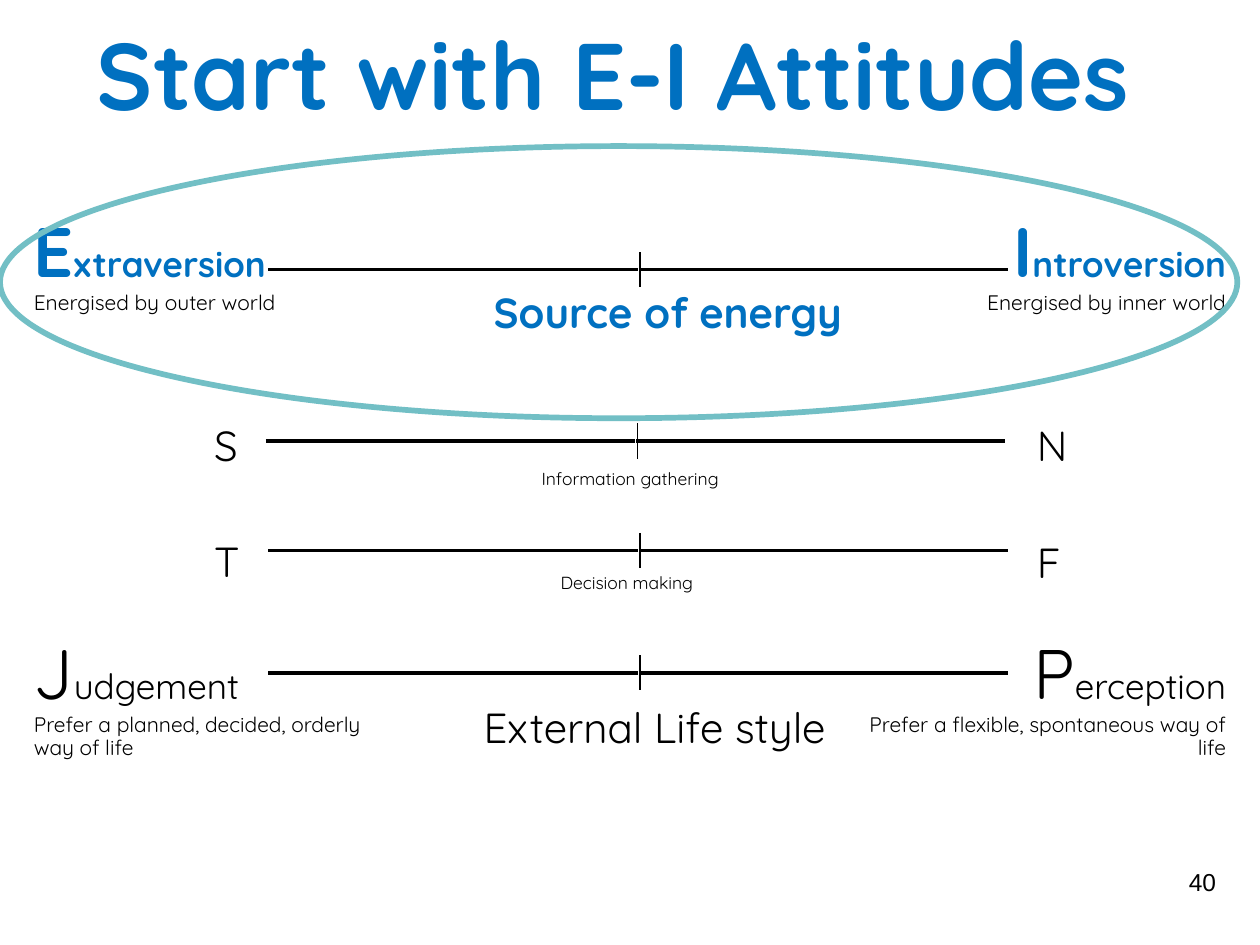
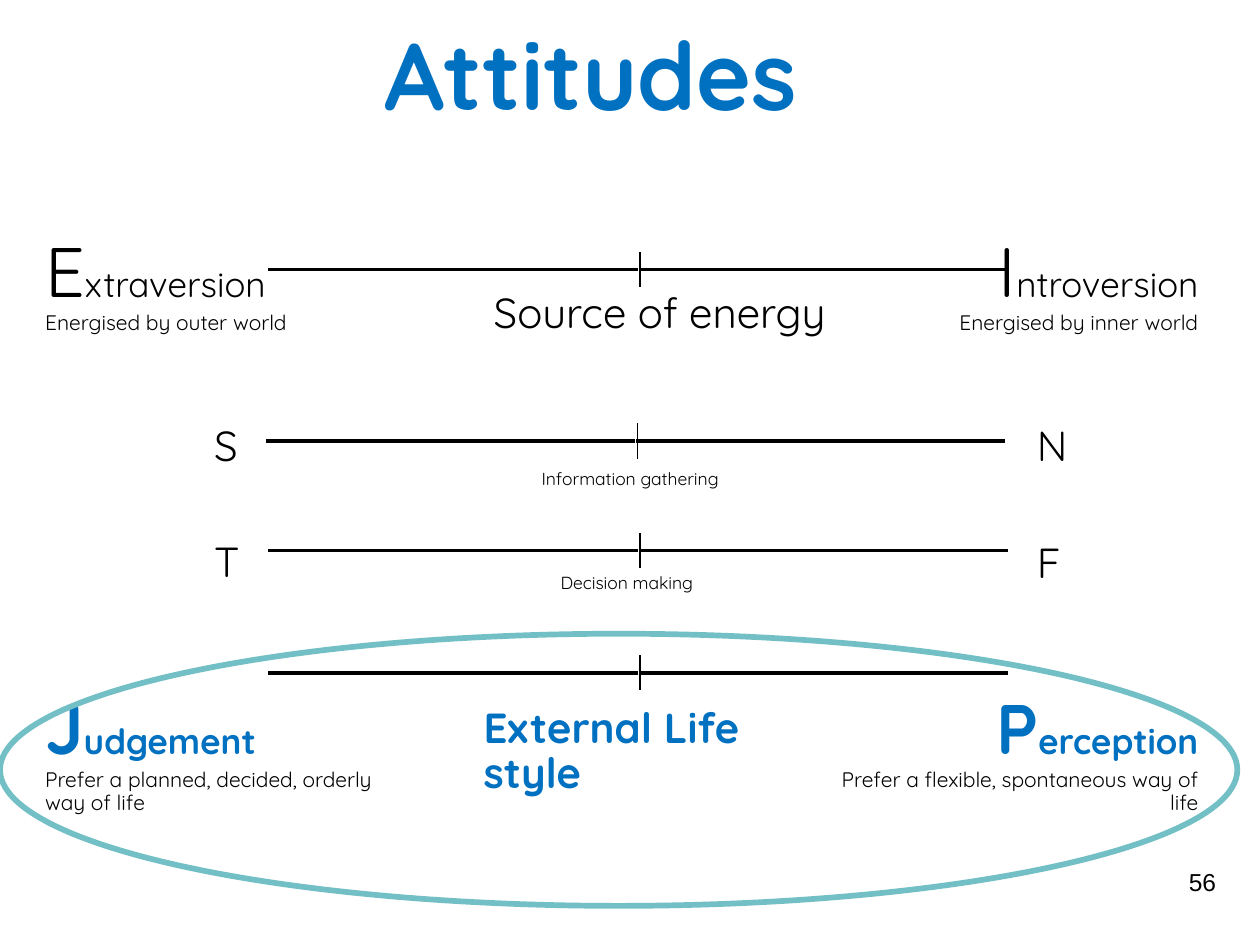
from lxml import etree
from pptx import Presentation
from pptx.dml.color import RGBColor
from pptx.enum.shapes import MSO_CONNECTOR, MSO_SHAPE
from pptx.enum.text import MSO_ANCHOR, PP_ALIGN
from pptx.oxml.ns import qn
from pptx.util import Inches, Pt

LEFT, RIGHT = PP_ALIGN.LEFT, PP_ALIGN.RIGHT
TOP, MIDDLE = MSO_ANCHOR.TOP, MSO_ANCHOR.MIDDLE
STRAIGHT, OVAL = MSO_CONNECTOR.STRAIGHT, MSO_SHAPE.OVAL

COLORS = {"accent": "0070C0", "text": "000000", "ring": "72BFC5"}
FONT = "Quicksand"
TIGHT = 0.9

# Axes shared by both slides: center x, y
AXES = [(5.07, 2.14), (5.05, 3.5), (5.07, 4.37), (5.07, 5.34)]
HALF_AXIS, TICK = 2.93, 0.14

# Outer axes: caption box, then left and right pole with its description
ENERGY = {
    "caption": ("Source of energy", 3.82, 2.27, 3),
    "poles": [("Extraversion", "Energised by outer world"),
              ("Introversion", "Energised by inner world")],
}
LIFESTYLE = {
    "caption": ("External Life style", 3.74, 5.56, 2.96),
    "poles": [("Judgement", "Prefer a planned, decided, orderly way of life"),
              ("Perception", "Prefer a flexible, spontaneous way of life")],
}

# Inner axes: captions and single letters (text, left, top, width)
INNER_CAPTIONS = [("Information gathering", 4.2, 3.68, 1.68),
                  ("Decision making", 4.35, 4.51, 1.32)]
LETTERS = [("S", 1.6, 3.28), ("N", 8.13, 3.28),
           ("T", 1.6, 4.2), ("F", 8.13, 4.21)]


def color(name):
    return RGBColor.from_string(COLORS[name])


def add_run(paragraph, text, size, fill="text", bold=False, font=FONT):
    run = paragraph.add_run()
    run.text = text
    run.font.name = font
    run.font.size = Pt(size)
    run.font.bold = bold
    run.font.color.rgb = color(fill)


def add_text_frame(slide, left, top, width, height, anchor=TOP):
    box = slide.shapes.add_textbox(Inches(left), Inches(top),
                                   Inches(width), Inches(height))
    frame = box.text_frame
    frame.word_wrap = True
    frame.vertical_anchor = anchor
    return frame


def add_text(slide, text, left, top, width, height, size=24, align=LEFT,
             anchor=TOP, spacing=None, **run_format):
    frame = add_text_frame(slide, left, top, width, height, anchor)
    paragraph = frame.paragraphs[0]
    paragraph.alignment = align
    paragraph.line_spacing = spacing
    add_run(paragraph, text, size, **run_format)


def add_pole(slide, name, description, left, top, width, align, highlighted):
    """A name with a large initial, and its description below."""
    frame = add_text_frame(slide, left, top, width, 1.2)
    heading, detail = frame.paragraphs[0], frame.add_paragraph()
    for paragraph in (heading, detail):
        paragraph.alignment = align
        paragraph.line_spacing = TIGHT
    fill = "accent" if highlighted else "text"
    add_run(heading, name[0], 40, fill, highlighted)
    add_run(heading, name[1:], 20, fill, highlighted)
    add_run(detail, description, 12)


def add_line(slide, x1, y1, x2, y2, width):
    line = slide.shapes.add_connector(STRAIGHT, Inches(x1), Inches(y1),
                                      Inches(x2), Inches(y2))
    line.line.color.rgb = color("text")
    line.line.width = Pt(width)
    properties = line._element.find(qn("p:spPr"))
    etree.SubElement(properties, qn("a:effectLst"))


def add_axis(slide, x, y):
    """Two half lines that meet at a thin tick."""
    add_line(slide, x, y, x + HALF_AXIS, y, 2)
    add_line(slide, x + 0.01, y - TICK, x + 0.01, y + TICK, 1)
    add_line(slide, x - 0.01 - HALF_AXIS, y, x - 0.01, y, 2)


def add_outer_axis(slide, axis, pole_top, columns, highlighted):
    for (name, description), (left, width, align) in zip(axis["poles"], columns):
        add_pole(slide, name, description, left, pole_top, width, align,
                 highlighted)
    text, left, top, width = axis["caption"]
    add_text(slide, text, left, top, width, 0.46, spacing=TIGHT,
             fill="accent" if highlighted else "text", bold=highlighted)


def add_ring(slide, top):
    ring = slide.shapes.add_shape(OVAL, Inches(0), Inches(top),
                                  Inches(9.82), Inches(2.16))
    ring.shadow.inherit = False
    ring.fill.background()
    ring.line.color.rgb = color("ring")
    ring.line.width = Pt(3.25)


def add_attitudes_slide(presentation, title, title_left, title_width, number,
                        focus, pole_lefts, pole_tops, ring_top):
    slide = presentation.slides.add_slide(presentation.slide_layouts[6])
    add_text(slide, title, title_left, 0, title_width, 1.15, size=54,
             anchor=MIDDLE, fill="accent", bold=True)

    # Axes with their poles and captions
    for x, y in AXES:
        add_axis(slide, x, y)
    columns = list(zip(pole_lefts, (3.08, 3.14), (LEFT, RIGHT)))
    for axis, pole_top in zip((ENERGY, LIFESTYLE), pole_tops):
        add_outer_axis(slide, axis, pole_top, columns, axis is focus)
    for text, left, top, width in INNER_CAPTIONS:
        add_text(slide, text, left, top, width, 0.25, size=10, spacing=TIGHT)
    for letter, left, top in LETTERS:
        add_text(slide, letter, left, top, 0.39, 0.4)

    # Highlight ring and slide number
    add_ring(slide, ring_top)
    add_text(slide, number, 9.33, 6.83, 0.42, 0.52, size=14, align=RIGHT,
             font="Arial")


def main():
    presentation = Presentation()
    presentation.slide_width = Inches(10)
    presentation.slide_height = Inches(7.5)
    add_attitudes_slide(presentation, "Start with E-I Attitudes", 0.67, 8.75,
                        "40", ENERGY, pole_lefts=(0.17, 6.69),
                        pole_tops=(1.67, 5.02), ring_top=1.16)
    add_attitudes_slide(presentation, "Attitudes", 2.95, 5.1,
                        "56", LIFESTYLE, pole_lefts=(0.26, 6.47),
                        pole_tops=(1.83, 5.46), ring_top=5.03)
    presentation.save("out.pptx")


if __name__ == "__main__":
    main()
